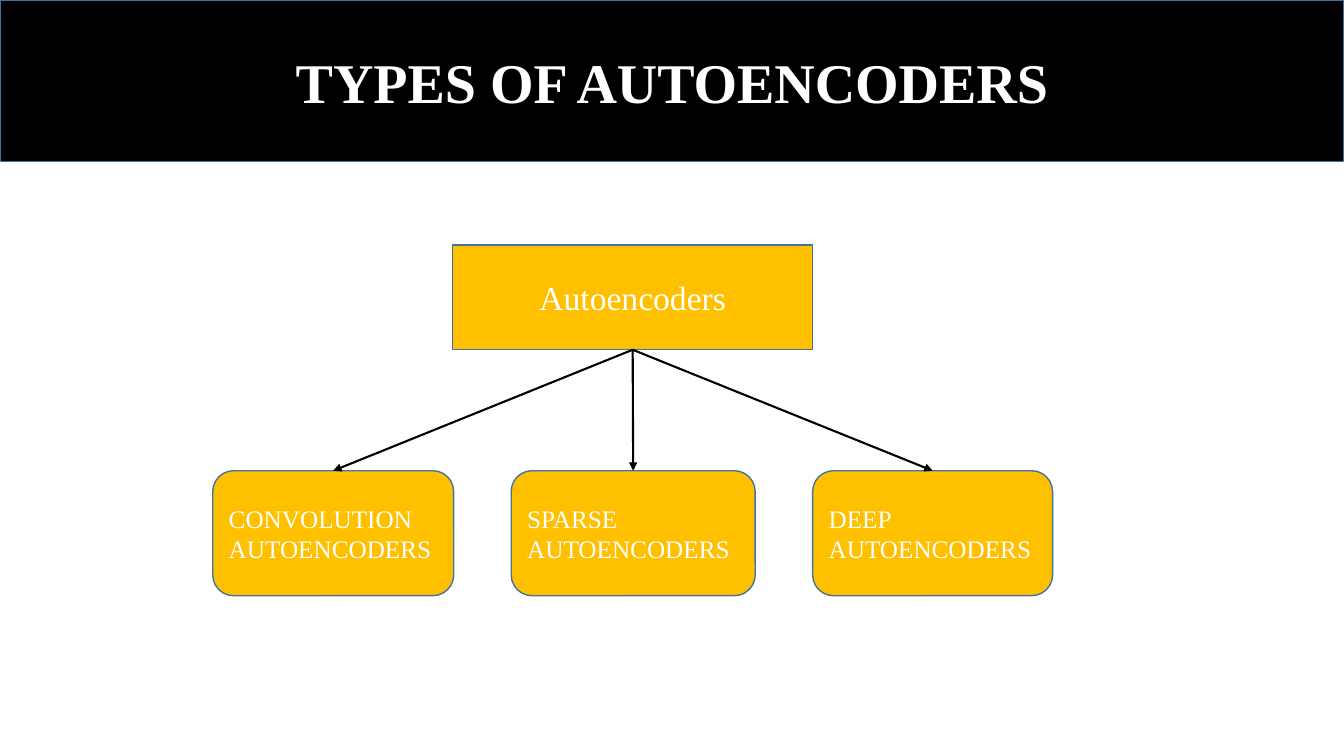
"""Build the slide showing the three types of autoencoders."""
import pptx
import pptx.dml.color
import pptx.enum.shapes
import pptx.enum.text
import pptx.oxml.ns
import pptx.util
from lxml import etree

Inches = pptx.util.Inches
Shapes = pptx.enum.shapes.MSO_SHAPE
Align = pptx.enum.text.PP_ALIGN


def color(value):
    return pptx.dml.color.RGBColor.from_string(value)


def style_box(shape, text, fill, size, alignment, bold=False):
    shape.fill.solid()
    shape.fill.fore_color.rgb = color(fill)
    shape.line.color.rgb = color("43739E")
    shape.line.width = pptx.util.Pt(1)
    frame = shape.text_frame
    frame.text = text
    frame.word_wrap = True
    frame.auto_size = pptx.enum.text.MSO_AUTO_SIZE.NONE
    frame.vertical_anchor = pptx.enum.text.MSO_ANCHOR.MIDDLE
    paragraph = frame.paragraphs[0]
    paragraph.alignment = alignment
    paragraph.font.name = "Times New Roman"
    paragraph.font.size = pptx.util.Pt(size)
    paragraph.font.bold = bold
    paragraph.font.color.rgb = color("FFFFFF")


presentation = pptx.Presentation()
presentation.slide_width = Inches(13.33)
presentation.slide_height = Inches(7.5)
slide = presentation.slides.add_slide(presentation.slide_layouts[5])

title = slide.shapes.title
title.left, title.top = Inches(0), Inches(0)
title.width, title.height = presentation.slide_width, Inches(1.6)
style_box(title, "TYPES OF AUTOENCODERS", "000000", 40, Align.CENTER, True)

root = slide.shapes.add_shape(
    Shapes.RECTANGLE, Inches(4.49), Inches(2.43), Inches(3.57), Inches(1.04))
root.shadow.inherit = False
style_box(root, "Autoencoders", "FFC000", 24, Align.CENTER)

types = [
    ("CONVOLUTION AUTOENCODERS", 2.11, 2.39),
    ("SPARSE AUTOENCODERS", 5.07, 2.42),
    ("DEEP AUTOENCODERS", 8.06, 2.38),
]
for text, left, width in types:
    box = slide.shapes.add_shape(
        Shapes.ROUNDED_RECTANGLE, Inches(left), Inches(4.67), Inches(width), Inches(1.24))
    box.shadow.inherit = False
    style_box(box, text, "FFC000", 18, Align.LEFT)

    arrow = slide.shapes.add_connector(
        pptx.enum.shapes.MSO_CONNECTOR.STRAIGHT, 0, 0, 0, 0)
    arrow.begin_connect(root, 2)
    arrow.end_connect(box, 0)
    arrow.line.color.rgb = color("000000")
    arrow.line.width = pptx.util.Pt(1.5)
    properties = arrow._element.spPr
    etree.SubElement(arrow.line._get_or_add_ln(), pptx.oxml.ns.qn("a:tailEnd"), type="triangle")
    etree.SubElement(properties, pptx.oxml.ns.qn("a:effectLst"))

presentation.save("out.pptx")
